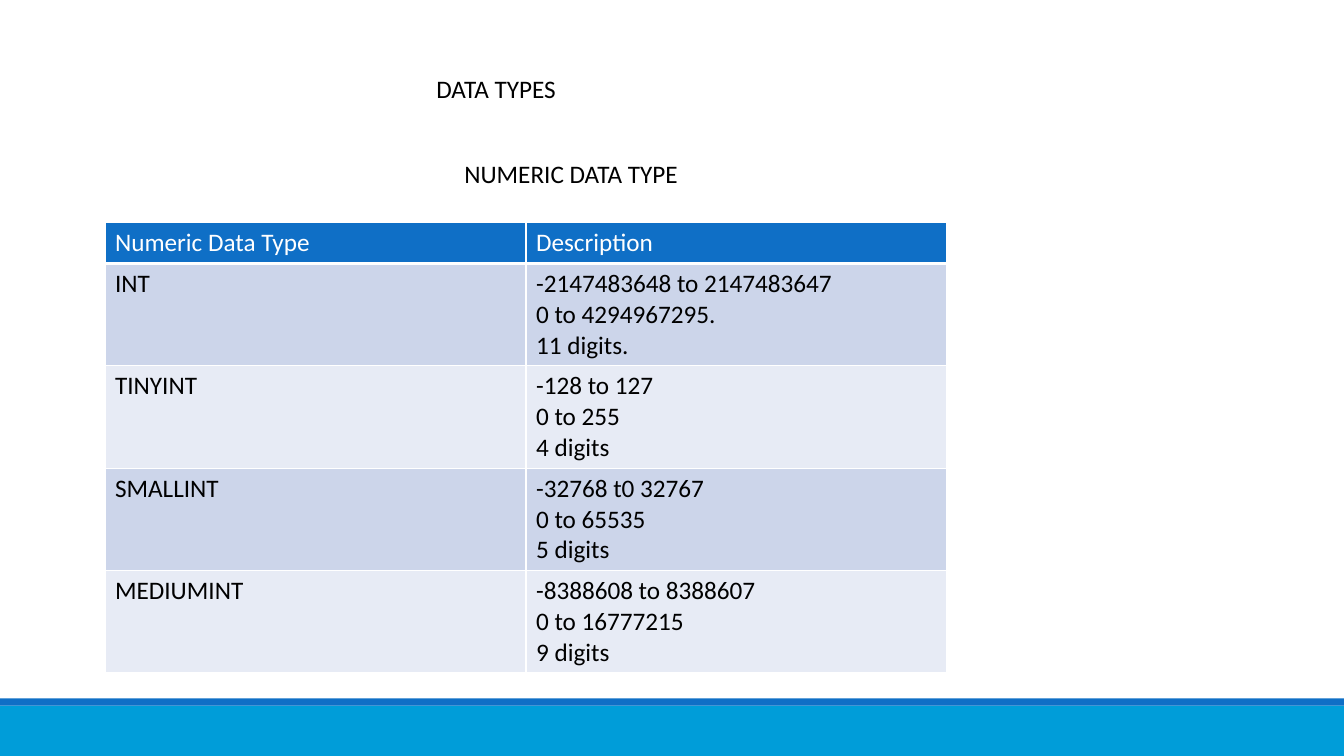
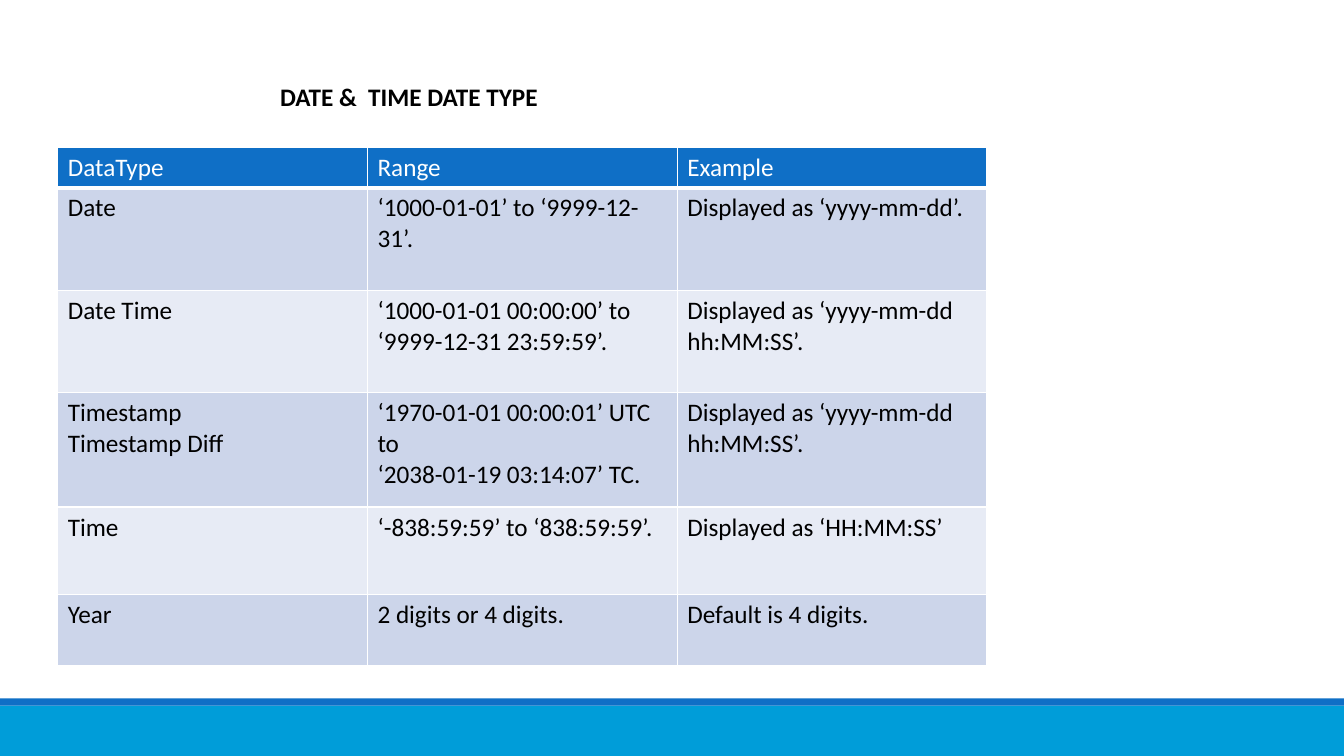
import pptx
import pptx.dml.color
import pptx.enum.shapes
import pptx.enum.text
import pptx.util
import lxml.etree

PX = 9525  # EMU per px, 96 px to the inch
WIDTH, HEIGHT = 1280, 720
FONT = "Calibri"
TEXT_PT = 18
COLORS = {
    "white": "FFFFFF",
    "black": "000000",
    "blue": "0F6FC6",
    "cyan": "009DD9",
    "row_dark": "CCD5EA",
    "row_light": "E7EBF5",
}
A_NS = "http://schemas.openxmlformats.org/drawingml/2006/main"


def color(name):
    return pptx.dml.color.RGBColor.from_string(COLORS[name])


class Deck:
    def __init__(self):
        self.presentation = pptx.Presentation()
        self.presentation.slide_width = WIDTH * PX
        self.presentation.slide_height = HEIGHT * PX
        self.slide = None

    def new_slide(self):
        layout = self.presentation.slide_layouts[5]  # title only
        self.slide = self.presentation.slides.add_slide(layout)
        self.band(672, 48, "cyan")
        self.band(665, 7, "blue")

    def band(self, top, height, fill):
        band = self.slide.shapes.add_shape(
            pptx.enum.shapes.MSO_SHAPE.RECTANGLE,
            0, top * PX, WIDTH * PX, height * PX)
        band.shadow.inherit = False
        band.fill.solid()
        band.fill.fore_color.rgb = color(fill)
        band.line.fill.background()

    def format_text(self, frame, font_color, bold=False, align=None):
        for paragraph in frame.paragraphs:
            paragraph.alignment = align
            for run in paragraph.runs:
                run.font.name = FONT
                run.font.size = pptx.util.Pt(TEXT_PT)
                run.font.bold = bold
                run.font.color.rgb = color(font_color)

    def heading(self, shape, text, bold):
        shape.fill.solid()
        shape.fill.fore_color.rgb = color("white")
        frame = shape.text_frame
        frame.text = text
        frame.word_wrap = True
        frame.auto_size = pptx.enum.text.MSO_AUTO_SIZE.NONE
        frame.vertical_anchor = pptx.enum.text.MSO_ANCHOR.MIDDLE
        self.format_text(frame, "black", bold, pptx.enum.text.PP_ALIGN.CENTER)

    def title(self, left, top, width, height, text, bold=False):
        title = self.slide.shapes.title
        title.left, title.top = left * PX, top * PX
        title.width, title.height = width * PX, height * PX
        self.heading(title, text, bold)

    def subtitle(self, left, top, width, height, text):
        subtitle = self.slide.shapes.add_textbox(
            left * PX, top * PX, width * PX, height * PX)
        self.heading(subtitle, text, False)

    def borders(self, cell, row):
        properties = cell._tc.get_or_add_tcPr()
        widths = {"L": 1, "R": 1,
                  "T": 3 if row == 1 else 1,
                  "B": 3 if row == 0 else 1}
        for side, points in widths.items():
            line = lxml.etree.SubElement(
                properties, f"{{{A_NS}}}ln{side}", w=str(pptx.util.Pt(points)))
            fill = lxml.etree.SubElement(line, f"{{{A_NS}}}solidFill")
            lxml.etree.SubElement(
                fill, f"{{{A_NS}}}srgbClr", val=COLORS["white"])

    def table(self, left, top, column_width, row_heights, rows):
        columns = len(rows[0])
        table = self.slide.shapes.add_table(
            len(rows), columns, left * PX, top * PX,
            columns * column_width * PX, sum(row_heights) * PX).table
        for column in table.columns:
            column.width = column_width * PX
        for r, (height, texts) in enumerate(zip(row_heights, rows)):
            table.rows[r].height = height * PX
            if r == 0:
                fill, font_color = "blue", "white"
            else:
                fill = "row_dark" if r % 2 else "row_light"
                font_color = "black"
            for c, text in enumerate(texts):
                cell = table.cell(r, c)
                cell.text_frame.text = text
                self.format_text(cell.text_frame, font_color)
                self.borders(cell, r)
                cell.fill.solid()
                cell.fill.fore_color.rgb = color(fill)


def main():
    deck = Deck()

    # Numeric data types
    deck.new_slide()
    deck.title(99, 52, 747, 65, "DATA TYPES")
    deck.subtitle(280, 146, 528, 38, "NUMERIC DATA TYPE")
    deck.table(100, 212, 401, [38] + [97] * 4, [
        ("Numeric Data Type", "Description"),
        ("INT", "-2147483648 to 2147483647\n0 to 4294967295.\n11 digits."),
        ("TINYINT", "-128 to 127\n0 to 255\n4 digits"),
        ("SMALLINT", "-32768 t0 32767\n0 to 65535\n5 digits"),
        ("MEDIUMINT", "-8388608 to 8388607\n0 to 16777215\n9 digits"),
    ])

    # Date and time data types
    deck.new_slide()
    deck.title(55, 63, 669, 58, "DATE &  TIME DATE TYPE", bold=True)
    deck.table(55, 140, 295, [37, 98, 97, 109, 83, 68], [
        ("DataType", "Range", "Example"),
        ("Date", "‘1000-01-01’ to ‘9999-12-31’.",
         "Displayed as ‘yyyy-mm-dd’."),
        ("Date Time", "‘1000-01-01 00:00:00’ to ‘9999-12-31 23:59:59’.",
         "Displayed as ‘yyyy-mm-dd hh:MM:SS’."),
        ("Timestamp\nTimestamp Diff",
         "‘1970-01-01 00:00:01’ UTC to\n‘2038-01-19 03:14:07’ TC.",
         "Displayed as ‘yyyy-mm-dd hh:MM:SS’."),
        ("Time", "‘-838:59:59’ to ‘838:59:59’.", "Displayed as ‘HH:MM:SS’"),
        ("Year", "2 digits or 4 digits.", "Default is 4 digits."),
    ])

    deck.presentation.save("out.pptx")


if __name__ == "__main__":
    main()
